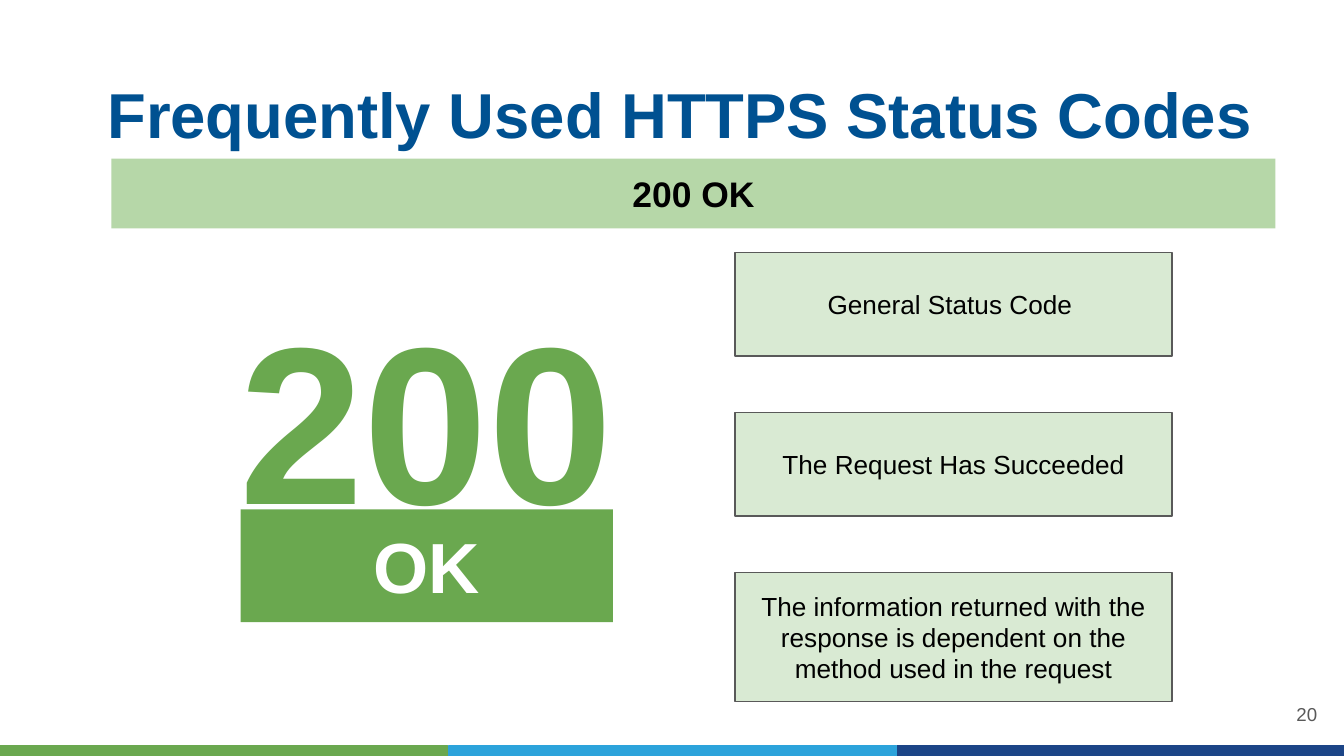
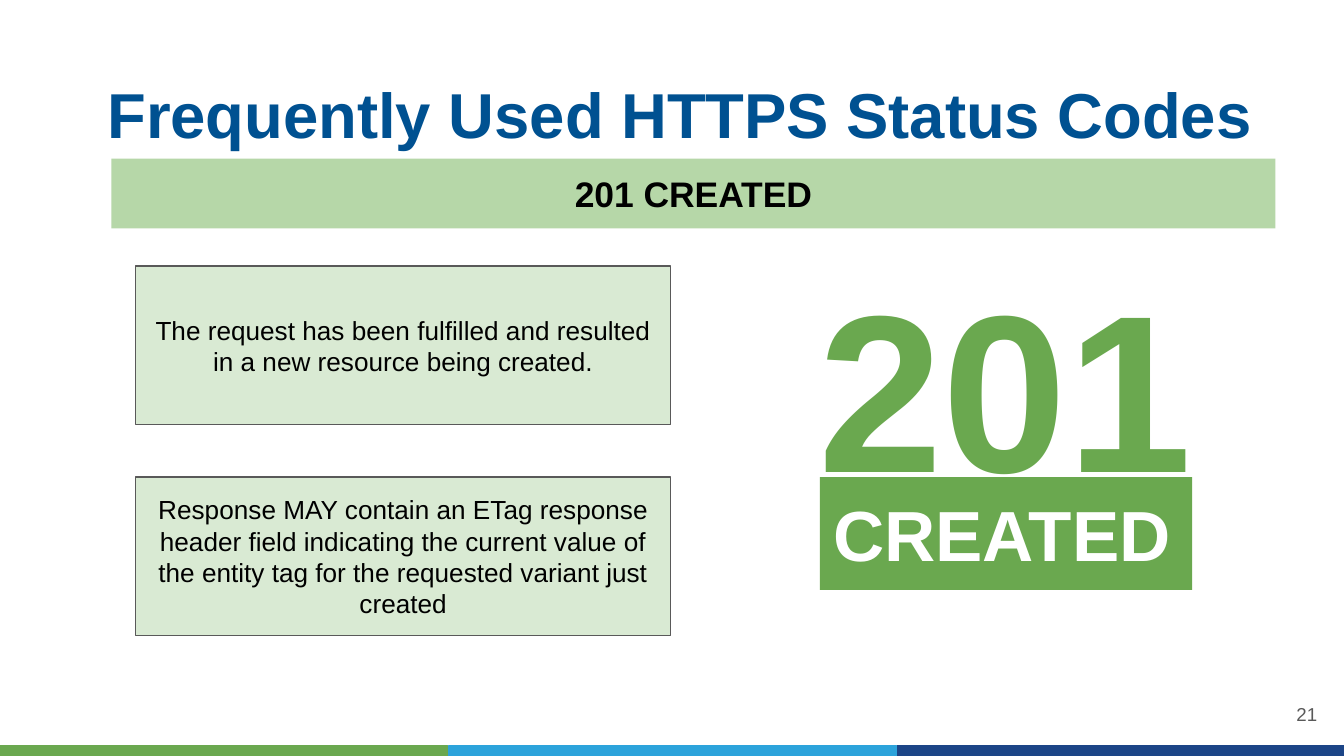
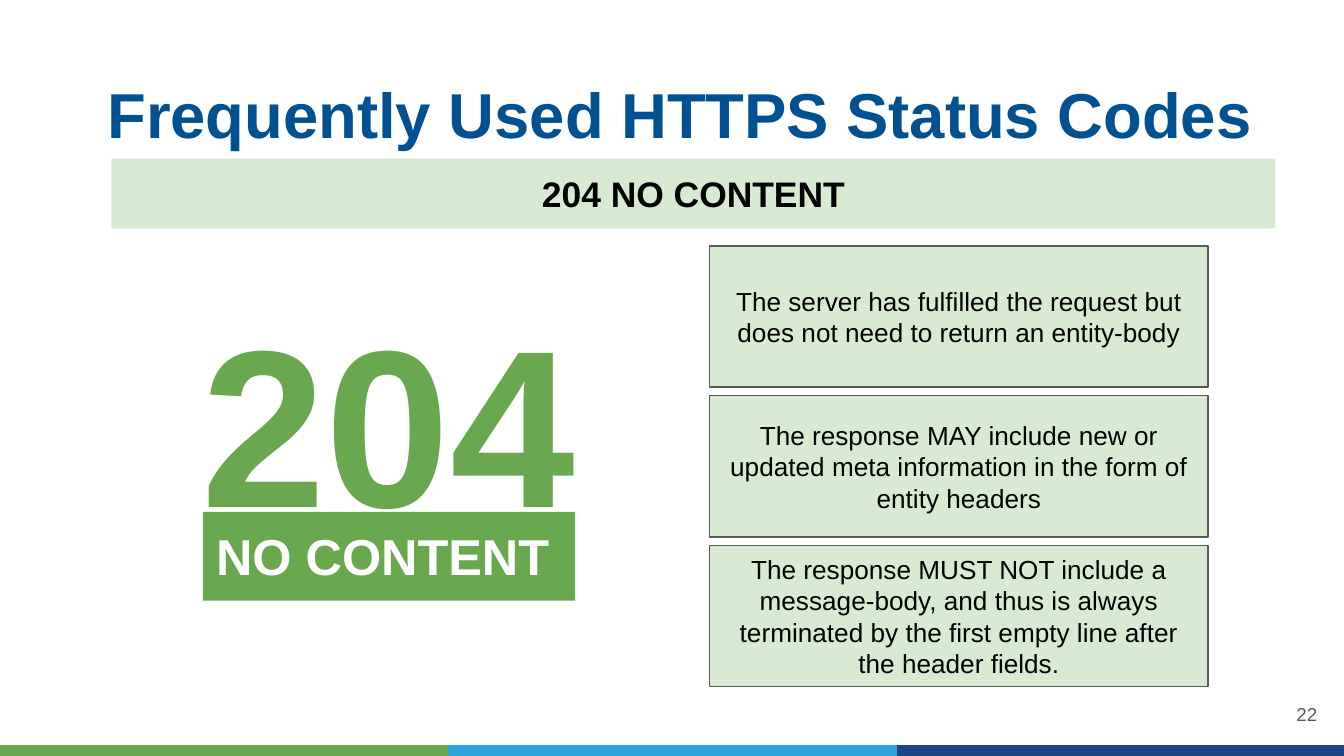
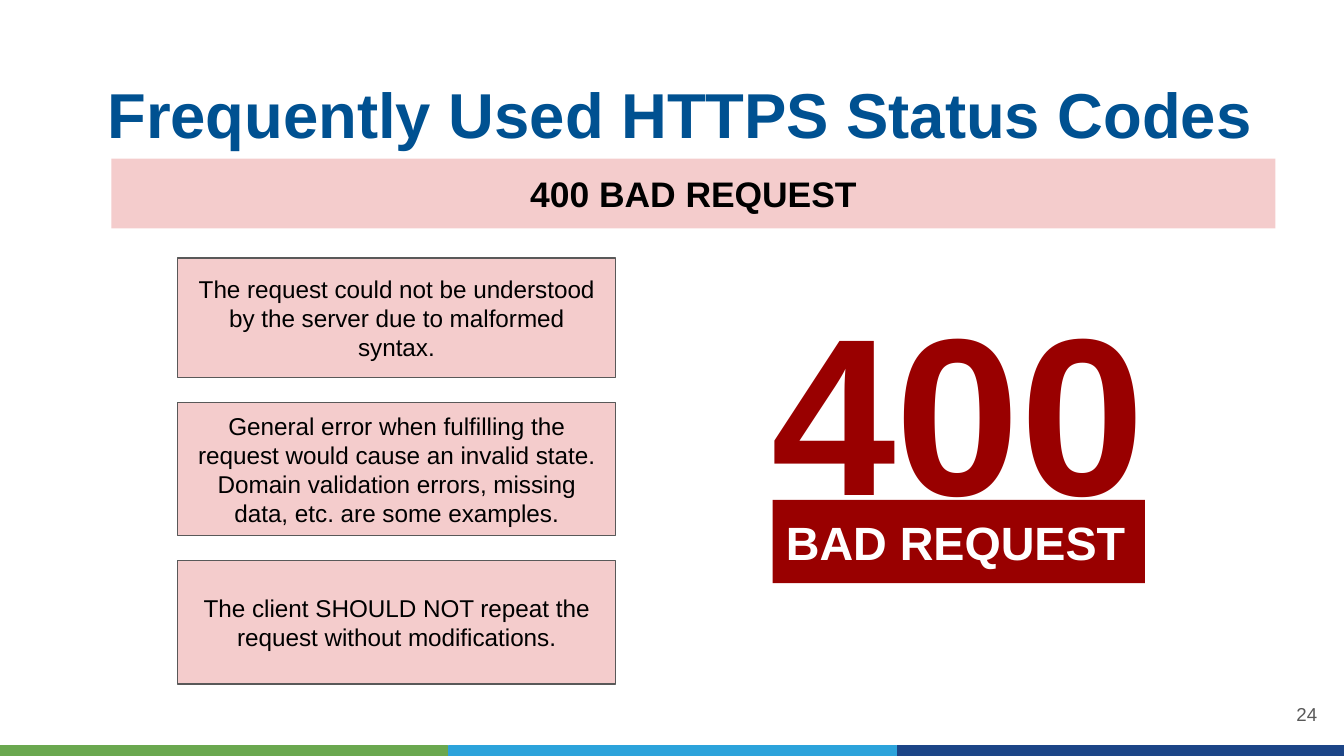
from dataclasses import dataclass
from pptx import Presentation
from pptx.dml.color import RGBColor
from pptx.enum.shapes import MSO_SHAPE
from pptx.enum.text import MSO_ANCHOR, PP_ALIGN
from pptx.util import Inches, Pt

TITLE = "Frequently Used HTTPS Status Codes"

CODES = [
    dict(page=20, code="200", name="OK", tone="good", band="leaf",
         badge=(1.79, 3.79, 0.84), size=38, align="center",
         left=5.47, width=3.25, top=1.88, end=5.22, body=14,
         notes=[(0.77, "General Status Code "),
                (0.77, "The Request Has Succeeded"),
                (0.96, "The information returned with the response is dependent "
                       "on the method used in the request")]),
    dict(page=21, code="201", name="CREATED", tone="good", band="leaf",
         badge=(6.1, 3.55, 0.84), size=38, align="left",
         left=1.01, width=3.98, top=1.98, end=4.73, body=14,
         notes=[(1.18, "The request has been fulfilled and resulted in a new "
                       "resource being created."),
                (1.18, "Response MAY contain an ETag response header field "
                       "indicating the current value of the entity tag for the "
                       "requested variant just created")]),
    dict(page=22, code="204", name="NO CONTENT", tone="good", band="mint",
         badge=(1.51, 3.81, 0.66), size=27, align="left",
         left=5.28, width=3.71, top=1.83, end=5.11, body=14,
         notes=[(1.05, "The server has fulfilled the request but does not need "
                       "to return an entity-body"),
                (1.05, "The response MAY include new or updated meta information "
                       "in the form of entity headers"),
                (1.05, "The response MUST NOT include a message-body, and thus is "
                       "always terminated by the first empty line after the "
                       "header fields.")]),
    dict(page=24, code="400", name="BAD REQUEST", tone="bad", band="rose",
         badge=(5.75, 3.72, 0.62), size=25, align="left",
         left=1.32, width=3.26, top=1.92, end=5.09, body=13,
         notes=[(0.89, "The request could not be understood by the server due to "
                       "malformed syntax."),
                (0.99, "General error when fulfilling the request would cause an "
                       "invalid state. Domain validation errors, missing data, "
                       "etc. are some examples."),
                (0.92, "The client SHOULD NOT repeat the request without "
                       "modifications.")]),
]


@dataclass(frozen=True)
class Theme:
    font: str = "Arial"
    title: str = "005191"
    ink: str = "000000"
    white: str = "FFFFFF"
    gray: str = "595959"
    leaf: str = "B6D7A8"
    mint: str = "D9EAD3"
    rose: str = "F4CCCC"
    green: str = "6AA84F"
    red: str = "990000"
    stripes: tuple = ("6AA84F", "2CA3DB", "1C4587")
    head: int = 34
    strap: int = 19
    digits: int = 120
    foot: int = 10


LOOK = Theme()
TONES = {"good": (LOOK.green, LOOK.mint), "bad": (LOOK.red, LOOK.rose)}
ALIGN = {"left": PP_ALIGN.LEFT, "center": PP_ALIGN.CENTER, "right": PP_ALIGN.RIGHT}
WIDE = 10
TALL = WIDE * 9 / 16
STRIPE = 3.33
BADGE = 2.77


def block(slide, area, fill, line=None):
    shape = slide.shapes.add_shape(MSO_SHAPE.RECTANGLE, *map(Inches, area))
    shape.shadow.inherit = False
    shape.fill.solid()
    shape.fill.fore_color.rgb = RGBColor.from_string(fill)
    if line:
        shape.line.color.rgb = RGBColor.from_string(line)
        shape.line.width = Pt(0.75)
    else:
        shape.line.fill.background()
    return shape


def label(slide, area, text, size, color=LOOK.ink, bold=False, align="left",
          middle=False, inset=0.1, fill=None, line=None):
    if fill:
        shape = block(slide, area, fill, line)
    else:
        shape = slide.shapes.add_textbox(*map(Inches, area))
    frame = shape.text_frame
    frame.word_wrap = True
    frame.vertical_anchor = MSO_ANCHOR.MIDDLE if middle else MSO_ANCHOR.TOP
    frame.margin_left = frame.margin_right = Inches(inset)
    frame.margin_top = frame.margin_bottom = Inches(inset)
    para = frame.paragraphs[0]
    para.alignment = ALIGN[align]
    run = para.add_run()
    run.text = text
    run.font.name = LOOK.font
    run.font.size = Pt(size)
    run.font.bold = bold
    run.font.color.rgb = RGBColor.from_string(color)


def frame_page(slide, item):
    for col, color in enumerate(LOOK.stripes):
        area = (col * (STRIPE + 0.01), TALL - 0.08, STRIPE, 0.08)
        block(slide, area, color, color)
    label(slide, (0.73, 0.49, 8.93, 0.63), TITLE, LOOK.head, color=LOOK.title,
          bold=True, inset=0.07)
    label(slide, (0.83, 1.18, 8.66, 0.52), f"{item['code']} {item['name']}",
          LOOK.strap, bold=True, align="center", fill=getattr(LOOK, item["band"]))
    label(slide, (9.27, 5.1, 0.6, 0.43), str(item["page"]), LOOK.foot,
          color=LOOK.gray, align="right", middle=True, inset=0.07)


def stack(slide, item, fill):
    notes, top = item["notes"], item["top"]
    used = sum(high for high, _ in notes)
    gap = (item["end"] - top - used) / (len(notes) - 1)
    for high, text in notes:
        label(slide, (item["left"], top, item["width"], high), text, item["body"],
              align="center", middle=True, fill=fill, line=LOOK.gray)
        top += high + gap


def badge(slide, item, color):
    left, top, high = item["badge"]
    label(slide, (left - 0.11, top - 1.8, BADGE + 0.22, 2.22), item["code"],
          LOOK.digits, color=color, bold=True)
    label(slide, (left, top, BADGE, high), item["name"], item["size"],
          color=LOOK.white, bold=True, align=item["align"], fill=color)


def main():
    deck = Presentation()
    deck.slide_width, deck.slide_height = Inches(WIDE), Inches(TALL)
    for item in CODES:
        slide = deck.slides.add_slide(deck.slide_layouts[6])
        dark, pale = TONES[item["tone"]]
        frame_page(slide, item)
        stack(slide, item, pale)
        badge(slide, item, dark)
    deck.save("out.pptx")


if __name__ == "__main__":
    main()
